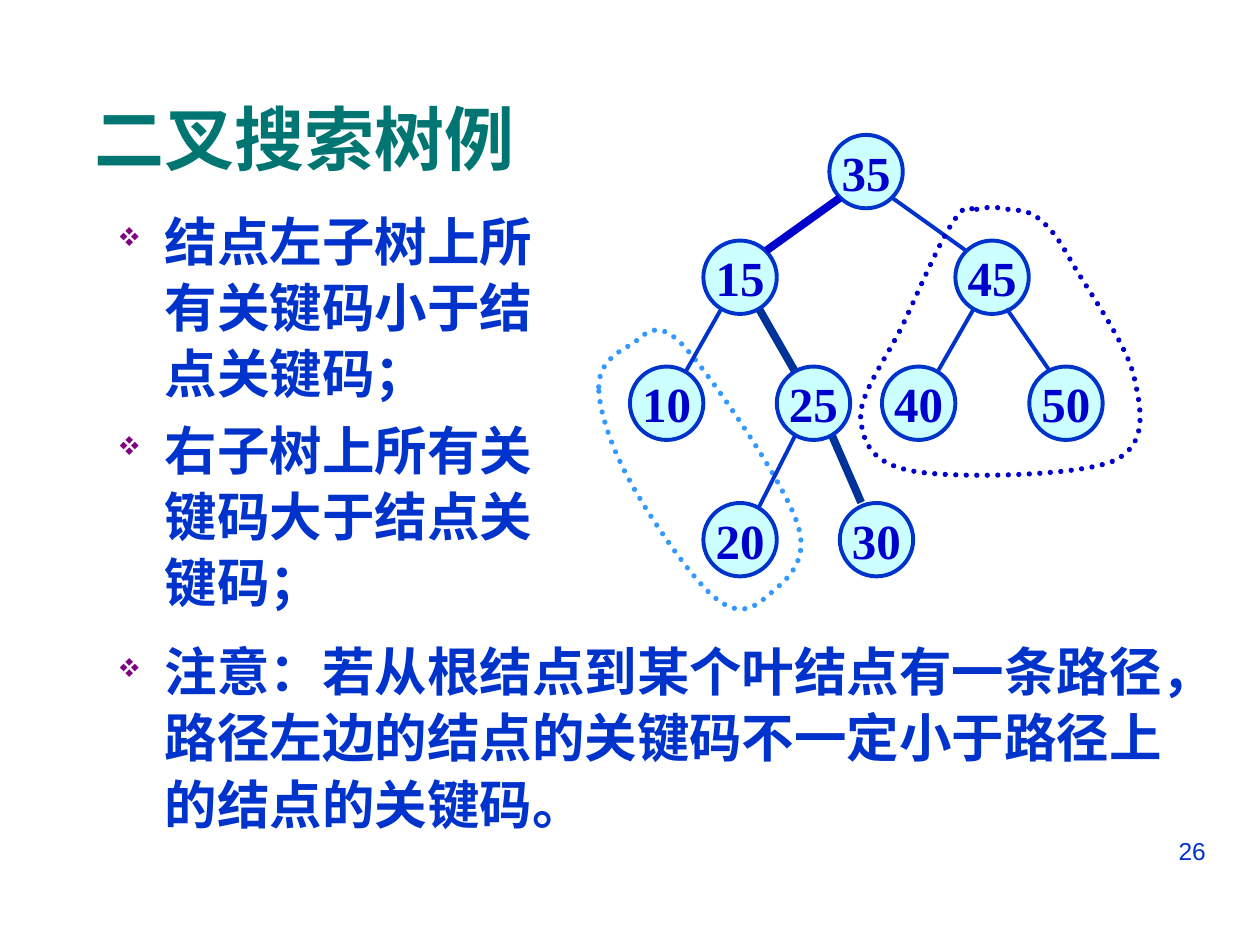
from lxml import etree
from pptx import Presentation
from pptx.dml.color import RGBColor
from pptx.enum.dml import MSO_LINE
from pptx.enum.shapes import MSO_CONNECTOR, MSO_SHAPE
from pptx.enum.text import MSO_ANCHOR, MSO_AUTO_SIZE, PP_ALIGN
from pptx.oxml.ns import qn
from pptx.util import Cm, Pt

OVAL = MSO_SHAPE.OVAL
LINE = MSO_CONNECTOR.STRAIGHT
DOTS = MSO_LINE.ROUND_DOT
MIDDLE = MSO_ANCHOR.MIDDLE
FIXED = MSO_AUTO_SIZE.NONE
CENTER, RIGHT = PP_ALIGN.CENTER, PP_ALIGN.RIGHT

BLUE, NAVY, DARK = "0033CC", "0000CC", "003399"
SKY, TEAL, PURPLE, PALE = "3399FF", "007572", "800080", "CCFFFF"
SIZE = 1.48

NODES = [
    ("35", 17.46, 3.46),
    ("15", 14.92, 5.59), ("45", 20, 5.59),
    ("50", 21.49, 8.13), ("40", 18.52, 8.13),
    ("25", 16.4, 8.13), ("10", 13.44, 8.13),
    ("20", 14.92, 10.88), ("30", 17.67, 10.88),
]
EDGES = [
    (19.69, 6.12, 18.84, 7.6, BLUE, 2.25),
    (16.72, 8.66, 17.36, 10.13, DARK, 4.5),
    (16.09, 8.66, 15.24, 10.34, BLUE, 2.25),
    (14.6, 6.12, 13.76, 7.6, BLUE, 2.25),
    (15.24, 6.12, 16.09, 7.6, DARK, 4.5),
]
TOP_EDGES = [
    (16.93, 3.99, 15.45, 5.05, NAVY, 4.5),
    (17.99, 3.99, 19.47, 5.05, BLUE, 2.25),
    (20.29, 6.22, 21.17, 7.49, BLUE, 2.25),
]
LEFT_LOOP = [
    (12.07, 7.8),
    (12.07, 7.34), (12.42, 7.11), (12.7, 6.96),
    (12.98, 6.81), (13.18, 6.35), (13.77, 6.96),
    (14.33, 7.57), (15.8, 9.7), (16.08, 10.57),
    (16.36, 11.4), (15.72, 11.79), (15.44, 12.04),
    (15.16, 12.29), (14.86, 12.42), (14.4, 12.04),
    (13.94, 11.66), (13.08, 10.41), (12.7, 9.7),
    (12.32, 9.02), (12.07, 8.26), (12.07, 7.8),
]
RIGHT_LOOP = [
    (19.69, 4.22),
    (19.86, 4.17), (20.12, 4.17), (20.32, 4.22),
    (20.52, 4.24), (20.75, 4.24), (20.96, 4.42),
    (21.16, 4.6), (21.29, 4.72), (21.59, 5.26),
    (21.89, 5.79), (22.71, 6.93), (22.86, 7.59),
    (23.01, 8.26), (23.16, 8.97), (22.43, 9.3),
    (21.69, 9.6), (19.25, 9.65), (18.42, 9.5),
    (17.58, 9.35), (17.4, 8.94), (17.35, 8.43),
    (17.32, 7.95), (17.88, 7.21), (18.21, 6.53),
    (18.52, 5.87), (18.97, 4.8), (19.25, 4.42),
    (19.53, 4.04), (19.51, 4.24), (19.69, 4.22),
]
RULES = ["结点左子树上所有关键码小于结点关键码；", "右子树上所有关键码大于结点关键码；"]
NOTE = ["注意：若从根结点到某个叶结点有一条路径，路径左边的结点的关键码不一定小于路径上的结点的关键码。"]


def color(code):
    return RGBColor.from_string(code)


def style(para, size, code, bold=True, face="Arial"):
    for run in para.runs:
        font = run.font
        font.size, font.bold, font.name = Pt(size), bold, face
        font.color.rgb = color(code)


def stroke(shape, code, width):
    shape.line.color.rgb = color(code)
    shape.line.width = Pt(width)


def add_title(slide, text):
    title = slide.shapes.title
    title.left, title.top = Cm(0.38), Cm(1.83)
    title.width, title.height = Cm(11.51), Cm(1.9)
    frame = title.text_frame
    frame.text = text
    frame.auto_size, frame.vertical_anchor = FIXED, MIDDLE
    para = frame.paragraphs[0]
    para.alignment = CENTER
    style(para, 40, TEAL)


def add_box(slide, left, top, width, height):
    box = slide.shapes.add_textbox(Cm(left), Cm(top), Cm(width), Cm(height))
    box.text_frame.word_wrap = True
    return box.text_frame


def add_bullet(para):
    props = para._p.get_or_add_pPr()
    props.set("marL", str(Cm(0.95)))
    props.set("indent", str(-Cm(0.95)))
    tint = etree.SubElement(props, qn("a:buClr"))
    etree.SubElement(tint, qn("a:srgbClr"), val=PURPLE)
    etree.SubElement(props, qn("a:buSzPct"), val="50000")
    etree.SubElement(props, qn("a:buFont"), typeface="Wingdings", charset="2")
    etree.SubElement(props, qn("a:buChar"), char="v")


def add_list(slide, items, *place):
    frame = add_box(slide, *place)
    for index, item in enumerate(items):
        para = frame.add_paragraph() if index else frame.paragraphs[0]
        para.text = item
        add_bullet(para)
        para.line_spacing = 1.05
        if index:
            para.space_before = Pt(6)
        style(para, 30, BLUE)


def add_edge(tree, x1, y1, x2, y2, code, width):
    edge = tree.add_connector(LINE, Cm(x1), Cm(y1), Cm(x2), Cm(y2))
    stroke(edge, code, width)
    etree.SubElement(edge.element.spPr, qn("a:effectLst"))


def add_node(tree, key, x, y):
    node = tree.add_shape(
        OVAL, Cm(x - SIZE / 2), Cm(y - SIZE / 2), Cm(SIZE), Cm(SIZE))
    node.shadow.inherit = False
    node.fill.solid()
    node.fill.fore_color.rgb = color(PALE)
    stroke(node, BLUE, 2.25)
    frame = node.text_frame
    frame.text = key
    frame.word_wrap, frame.vertical_anchor = False, MIDDLE
    para = frame.paragraphs[0]
    para.alignment = CENTER
    style(para, 28, NAVY, face="Times New Roman")


def bend(loop):
    sides = list(loop.element.iter(qn("a:lnTo")))
    for start in range(0, len(sides), 3):
        arc = etree.Element(qn("a:cubicBezTo"))
        sides[start].addprevious(arc)
        for side in sides[start:start + 3]:
            arc.append(side[0])
            side.getparent().remove(side)


def add_loop(tree, knots, code):
    start, *rest = [(Cm(x), Cm(y)) for x, y in knots]
    pen = tree.build_freeform(*start)
    pen.add_line_segments(rest, close=True)
    loop = pen.convert_to_shape()
    bend(loop)
    loop.shadow.inherit = False
    loop.fill.background()
    stroke(loop, code, 3)
    loop.line.dash_style = DOTS
    loop.element.spPr.find(qn("a:ln")).set("cap", "rnd")


def add_tree(slide):
    tree = slide.shapes.add_group_shape().shapes
    add_loop(tree, LEFT_LOOP, SKY)
    for edge in EDGES:
        add_edge(tree, *edge)
    for node in NODES:
        add_node(tree, *node)
    for edge in TOP_EDGES:
        add_edge(tree, *edge)
    add_loop(tree, RIGHT_LOOP, NAVY)


def add_number(slide, text):
    frame = add_box(slide, 18.21, 16.72, 6.35, 1.32)
    frame.text = text
    para = frame.paragraphs[0]
    para.alignment = RIGHT
    style(para, 14, BLUE, bold=False)


def main():
    deck = Presentation()
    deck.slide_width, deck.slide_height = Cm(25.4), Cm(19.05)
    slide = deck.slides.add_slide(deck.slide_layouts[5])
    add_title(slide, "二叉搜索树例")
    add_number(slide, "26")
    add_tree(slide)
    add_list(slide, RULES, 2.12, 4.02, 9.4, 9.09)
    add_list(slide, NOTE, 2.12, 12.7, 22.02, 4.45)
    deck.save("out.pptx")


if __name__ == "__main__":
    main()
